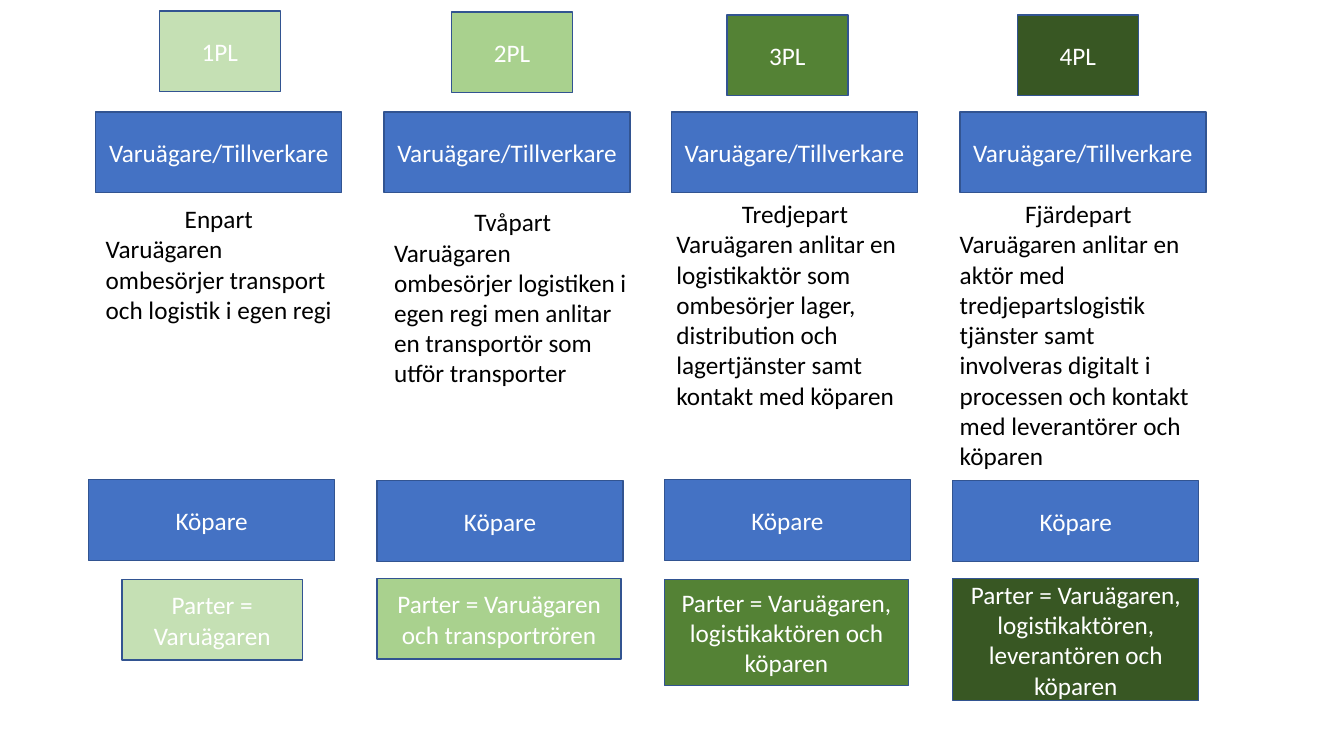
from pptx import Presentation
from pptx.dml.color import RGBColor
from pptx.enum import shapes, text
from pptx.util import Inches, Pt

BLUE = "4472C4"
EDGE = "325491"
PITCH = 2.857

LEVELS = [
    ("1PL", "C5E0B4", (1.58, 0.11), "Enpart",
     "Varuägaren ombesörjer transport och logistik i egen regi",
     (0.95, 1.97, 2.44, 1.62), 4.76,
     "Parter = Varuägaren", (1.21, 5.75, 1.79, 0.8)),
    ("2PL", "A9D18E", (4.48, 0.12), "Tvåpart",
     "Varuägaren ombesörjer logistiken i egen regi men anlitar "
     "en transportör som utför transporter",
     (3.81, 2, 2.55, 1.92), 4.77,
     "Parter = Varuägaren och transportrören", (3.74, 5.74, 2.42, 0.8)),
    ("3PL", "548235", (7.21, 0.15), "Tredjepart",
     "Varuägaren anlitar en logistikaktör som ombesörjer lager, "
     "distribution och lagertjänster samt kontakt med köparen",
     (6.61, 1.92, 2.55, 2.22), 4.76,
     "Parter = Varuägaren, logistikaktören och köparen",
     (6.59, 5.75, 2.42, 1.05)),
    ("4PL", "385723", (10.09, 0.15), "Fjärdepart",
     "Varuägaren anlitar en aktör med tredjepartslogistik tjänster samt "
     "involveras digitalt i processen och kontakt med leverantörer och köparen",
     (9.42, 1.92, 2.55, 2.83), 4.77,
     "Parter = Varuägaren, logistikaktören, leverantören och köparen",
     (9.45, 5.74, 2.44, 1.21)),
]


def color(code):
    return RGBColor.from_string(code)


def style(para, words, code, align):
    para.text = words
    para.alignment = align
    para.font.name = "Calibri"
    para.font.size = Pt(18)
    para.font.color.rgb = color(code)


def box(slide, area, words, fill):
    rect = slide.shapes.add_shape(
        shapes.MSO_SHAPE.RECTANGLE, *map(Inches, area))
    rect.shadow.inherit = False
    rect.fill.solid()
    rect.fill.fore_color.rgb = color(fill)
    rect.line.color.rgb = color(EDGE)
    rect.line.width = Pt(1)
    frame = rect.text_frame
    frame.word_wrap = True
    frame.vertical_anchor = text.MSO_ANCHOR.MIDDLE
    style(frame.paragraphs[0], words, "FFFFFF", text.PP_ALIGN.CENTER)


def note(slide, area, title, body):
    frame = slide.shapes.add_textbox(*map(Inches, area)).text_frame
    frame.word_wrap = True
    frame.auto_size = text.MSO_AUTO_SIZE.SHAPE_TO_FIT_TEXT
    style(frame.paragraphs[0], title, "000000", text.PP_ALIGN.CENTER)
    style(frame.add_paragraph(), body, "000000", text.PP_ALIGN.LEFT)


def main():
    deck = Presentation()
    deck.slide_width, deck.slide_height = Inches(13.33), Inches(7.5)
    slide = deck.slides.add_slide(deck.slide_layouts[6])
    for i, level in enumerate(LEVELS):
        name, green, spot, title, body, area, top, parties, base = level
        shift = i * PITCH
        box(slide, (round(0.95 + shift, 2), 1.11, 2.44, 0.8),
            "Varuägare/Tillverkare", BLUE)
        box(slide, (round(0.88 + shift, 2), top, 2.44, 0.8), "Köpare", BLUE)
        box(slide, (*spot, 1.2, 0.8), name, green)
        note(slide, area, title, body)
        box(slide, base, parties, green)
    deck.save("out.pptx")


if __name__ == "__main__":
    main()
